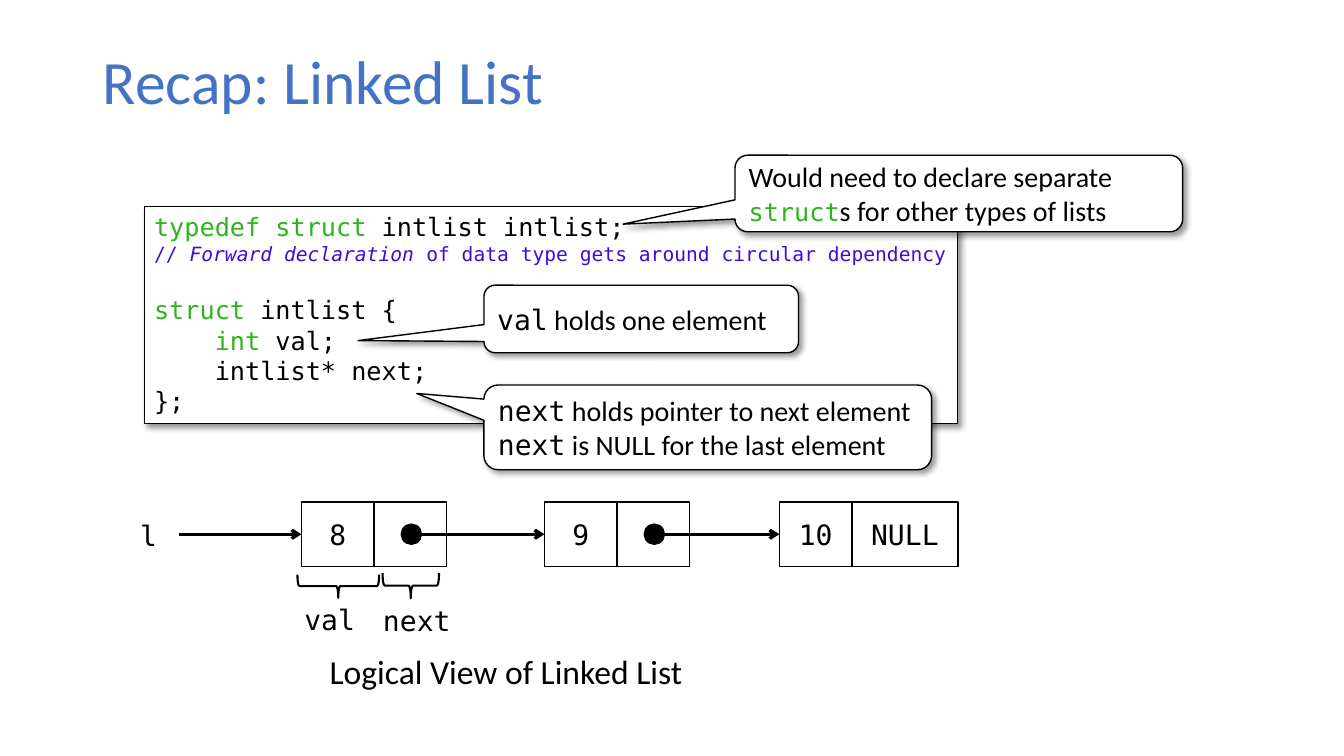
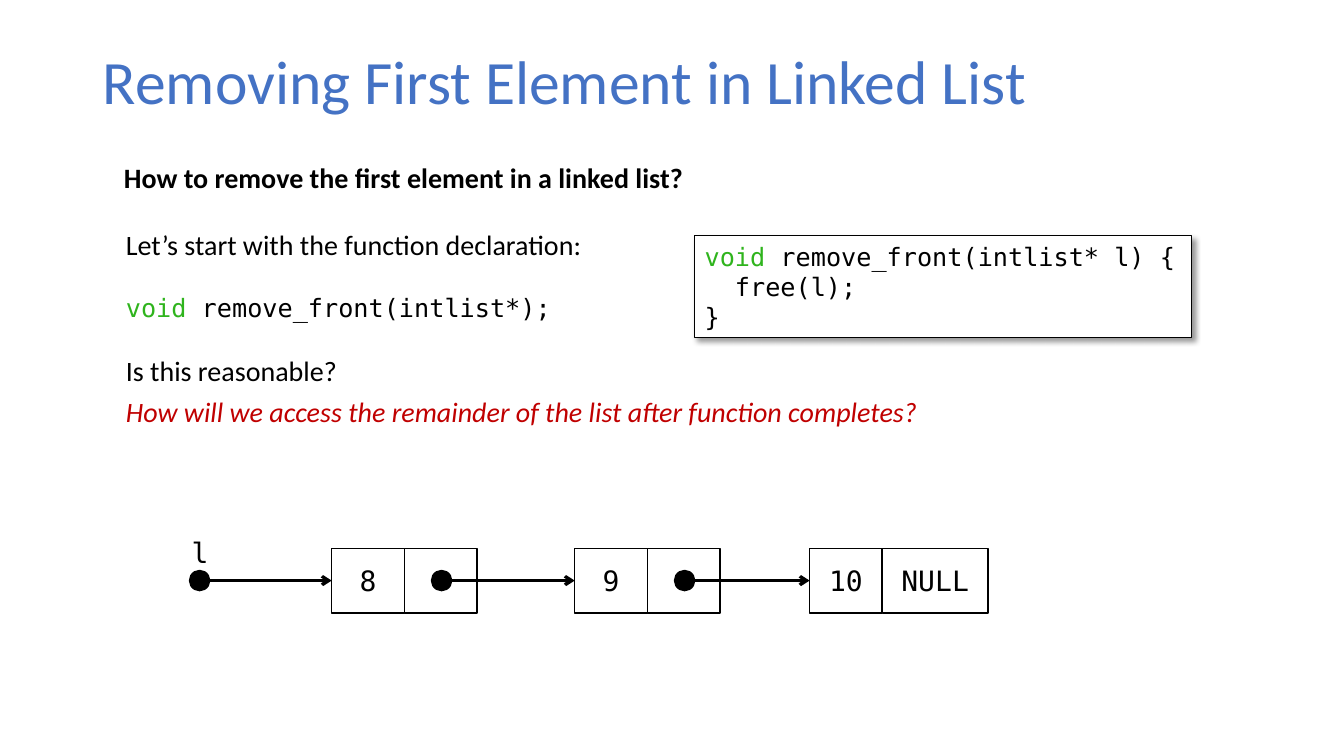
from lxml.etree import SubElement
from pptx import Presentation
from pptx.dml.color import RGBColor
from pptx.enum.shapes import MSO_CONNECTOR, MSO_SHAPE
from pptx.enum.text import MSO_ANCHOR, MSO_AUTO_SIZE, PP_ALIGN
from pptx.oxml.ns import qn
from pptx.util import Inches, Pt

BLACK, WHITE = "000000", "FFFFFF"
TITLE_BLUE, KEYWORD, COMMENT, WARNING = "4472C4", "2FB41D", "400BD9", "C00000"
SANS, MONO = "Calibri", "DejaVu Sans Mono"

# Text styles: font, size, colour, bold, italic
STYLES = {
    "title": (SANS, 44, TITLE_BLUE, False, False),
    "caption": (SANS, 24, BLACK, False, False),
    "body": (SANS, 20, BLACK, False, False),
    "strong": (SANS, 20, BLACK, True, False),
    "warning": (SANS, 20, WARNING, False, True),
    "label": (MONO, 20, BLACK, False, False),
    "code": (MONO, 18, BLACK, False, False),
    "keyword": (MONO, 18, KEYWORD, False, False),
    "comment": (MONO, 14, COMMENT, False, False),
    "comment italic": (MONO, 14, COMMENT, False, True),
}

# A paragraph is (space before in points, [(text, style), ...])
STRUCT_CODE = [
    (0, [("typedef struct ", "keyword"), ("intlist intlist;", "code")]),
    (0, [("// ", "comment"), ("Forward declaration", "comment italic"),
         (" of data type gets around circular dependency", "comment")]),
    (21, [("struct ", "keyword"), ("intlist {", "code")]),
    (0, [("    ", "code"), ("int ", "keyword"), ("val;", "code")]),
    (0, [("    intlist* next;", "code")]),
    (0, [("};", "code")]),
]
REMOVE_CODE = [
    (0, [("void ", "keyword"), ("remove_front(intlist* l) {", "code")]),
    (0, [("  free(l);", "code")]),
    (0, [("}", "code")]),
]
DECLARATION = [
    (0, [("Let’s start with the function declaration:", "body")]),
    (22, [("void ", "keyword"), ("remove_front(intlist*);", "code")]),
    (22, [("Is this reasonable?", "body")]),
]
# Callouts: box, pointer adjustments, paragraphs
CALLOUTS = [
    ((4.8, 2.83, 3.12, 0.67), (-0.9, 0.32),
     [(0, [("val", "label"), (" holds one element", "body")])]),
    ((4.8, 3.82, 4.44, 0.84), (-0.65, -0.4),
     [(0, [("next", "label"), (" holds pointer to next element", "body")]),
      (0, [("next", "label"), (" is NULL for the last element", "body")])]),
    ((7.29, 1.54, 4.44, 0.76), (-0.75, 0.4),
     [(0, [("Would need to declare separate ", "body"), ("struct", "keyword"),
           ("s for other types of lists", "body")])]),
]
# Fields of a node: name, name position, brace box before its quarter turn
FIELDS = [
    ("val", (2.92, 5.93, 0.71, 0.44), (3.24, 5.41, 0.23, 0.81)),
    ("next", (3.7, 5.94, 0.88, 0.44), (3.95, 5.53, 0.25, 0.56)),
]
# Nodes: value, offset from the first node
NODES = [("8", 0), ("9", 2.41), ("10", 4.74)]
CELL_WIDTH, NULL_WIDTH, CELL_HEIGHT = 0.72, 1.05, 0.64
DOT_SIZE, DOT_INSET = 0.2, 0.27
HEAD_ARROW = 1.21


def rgb(colour):
    return RGBColor.from_string(colour)


def box_inches(box):
    return [Inches(value) for value in box]


def plain(text, style):
    return [(0, [(text, style)])]


def write(frame, paragraphs, align=PP_ALIGN.LEFT):
    for index, (space, runs) in enumerate(paragraphs):
        paragraph = frame.add_paragraph() if index else frame.paragraphs[0]
        paragraph.alignment = align
        if space:
            paragraph.space_before = Pt(space)
        for text, style in runs:
            run = paragraph.add_run()
            run.text = text
            font = run.font
            font.name, size, colour, font.bold, font.italic = STYLES[style]
            font.size = Pt(size)
            font.color.rgb = rgb(colour)


def add_text(slide, box, paragraphs, wrap=False, align=PP_ALIGN.LEFT):
    frame = slide.shapes.add_textbox(*box_inches(box)).text_frame
    frame.word_wrap = wrap
    frame.auto_size = MSO_AUTO_SIZE.SHAPE_TO_FIT_TEXT
    write(frame, paragraphs, align)


def add_shape(slide, kind, box, fill=WHITE, line=1.0):
    shape = slide.shapes.add_shape(kind, *box_inches(box))
    shape.shadow.inherit = False
    if fill:
        shape.fill.solid()
        shape.fill.fore_color.rgb = rgb(fill)
    else:
        shape.fill.background()
    shape.line.color.rgb = rgb(BLACK)
    shape.line.width = Pt(line)
    return shape


def add_shadow(shape):
    effects = shape._element.spPr.find(qn("a:effectLst"))
    shadow = SubElement(effects, qn("a:outerShdw"), blurRad=str(Pt(4)),
                        dist=str(Pt(3)), dir="2700000", algn="tl", rotWithShape="0")
    colour = SubElement(shadow, qn("a:srgbClr"), val=BLACK)
    SubElement(colour, qn("a:alpha"), val="40000")


def add_code(slide, box, paragraphs):
    shape = add_shape(slide, MSO_SHAPE.RECTANGLE, box, line=0.75)
    add_shadow(shape)
    frame = shape.text_frame
    frame.vertical_anchor = MSO_ANCHOR.TOP
    frame.word_wrap = False
    frame.auto_size = MSO_AUTO_SIZE.SHAPE_TO_FIT_TEXT
    write(frame, paragraphs)


def add_callout(slide, box, pointer, paragraphs):
    shape = add_shape(slide, MSO_SHAPE.ROUNDED_RECTANGULAR_CALLOUT, box)
    shape.adjustments[0], shape.adjustments[1] = pointer
    add_shadow(shape)
    shape.text_frame.vertical_anchor = MSO_ANCHOR.MIDDLE
    write(shape.text_frame, paragraphs)


def add_cell(slide, left, top, width, text=""):
    shape = add_shape(slide, MSO_SHAPE.RECTANGLE, (left, top, width, CELL_HEIGHT))
    if text:
        shape.text_frame.vertical_anchor = MSO_ANCHOR.MIDDLE
        write(shape.text_frame, plain(text, "label"), PP_ALIGN.CENTER)


def add_dot(slide, left, middle):
    box = (left, middle - DOT_SIZE / 2, DOT_SIZE, DOT_SIZE)
    add_shape(slide, MSO_SHAPE.OVAL, box, fill=BLACK)


def add_arrow(slide, start, end, middle):
    arrow = slide.shapes.add_connector(
        MSO_CONNECTOR.STRAIGHT, *box_inches((start, middle, end, middle)))
    arrow.line.color.rgb = rgb(BLACK)
    arrow.line.width = Pt(2.25)
    SubElement(arrow.line._get_or_add_ln(), qn("a:tailEnd"), type="arrow")
    SubElement(arrow._element.spPr, qn("a:effectLst"))


def add_linked_list(slide, left, top):
    """Draw the nodes and the arrow that leads to each of them."""
    middle = top + CELL_HEIGHT / 2
    arrow_start = left - HEAD_ARROW
    for index, (value, offset) in enumerate(NODES):
        node_left = left + offset
        next_left = node_left + CELL_WIDTH
        last = index == len(NODES) - 1
        add_cell(slide, next_left, top, NULL_WIDTH if last else CELL_WIDTH,
                 "NULL" if last else "")
        add_cell(slide, node_left, top, CELL_WIDTH, value)
        add_arrow(slide, arrow_start, node_left, middle)
        if not last:
            add_dot(slide, next_left + DOT_INSET, middle)
            arrow_start = next_left + DOT_INSET + DOT_SIZE


def add_titled_slide(presentation, text):
    slide = presentation.slides.add_slide(presentation.slide_layouts[5])
    title = slide.shapes.title
    title.left, title.top, title.width, title.height = box_inches((0.92, 0.4, 11.5, 0.87))
    frame = title.text_frame
    frame.vertical_anchor = MSO_ANCHOR.MIDDLE
    frame.auto_size = MSO_AUTO_SIZE.NONE
    write(frame, plain(text, "title"))
    frame.paragraphs[0].line_spacing = 0.9
    return slide


def build_recap(presentation):
    slide = add_titled_slide(presentation, "Recap: Linked List")
    add_code(slide, (1.43, 2.05, 8.07, 2.15), STRUCT_CODE)
    for callout in CALLOUTS:
        add_callout(slide, *callout)
    for name, name_box, brace_box in FIELDS:
        add_text(slide, name_box, plain(name, "label"))
        brace = add_shape(slide, MSO_SHAPE.LEFT_BRACE, brace_box, fill=None, line=1.5)
        brace.rotation = 270
    add_text(slide, (3.17, 6.41, 3.73, 0.5),
             plain("Logical View of Linked List", "caption"))
    add_linked_list(slide, 2.99, 4.98)
    add_text(slide, (1.16, 5.09, 0.63, 0.44), plain("l", "label"), True, PP_ALIGN.CENTER)


def build_removal(presentation):
    slide = add_titled_slide(presentation, "Removing First Element in Linked List")
    add_text(slide, (1.13, 1.54, 5.79, 0.44),
             plain("How to remove the first element in a linked list?", "strong"))
    add_text(slide, (1.15, 2.21, 4.83, 1.68), DECLARATION)
    list_left, list_top = 3.29, 5.44
    add_linked_list(slide, list_left, list_top)
    add_text(slide, (1.67, 5.26, 0.63, 0.44), plain("l", "label"), True, PP_ALIGN.CENTER)
    add_dot(slide, list_left - HEAD_ARROW - DOT_SIZE, list_top + CELL_HEIGHT / 2)
    add_code(slide, (6.89, 2.34, 4.93, 1.01), REMOVE_CODE)
    add_text(slide, (1.15, 3.86, 8.28, 0.44),
             plain("How will we access the remainder of the list after function completes?",
                   "warning"))


def main():
    presentation = Presentation()
    presentation.slide_width, presentation.slide_height = Inches(13.33), Inches(7.5)
    build_recap(presentation)
    build_removal(presentation)
    presentation.save("out.pptx")


if __name__ == "__main__":
    main()
